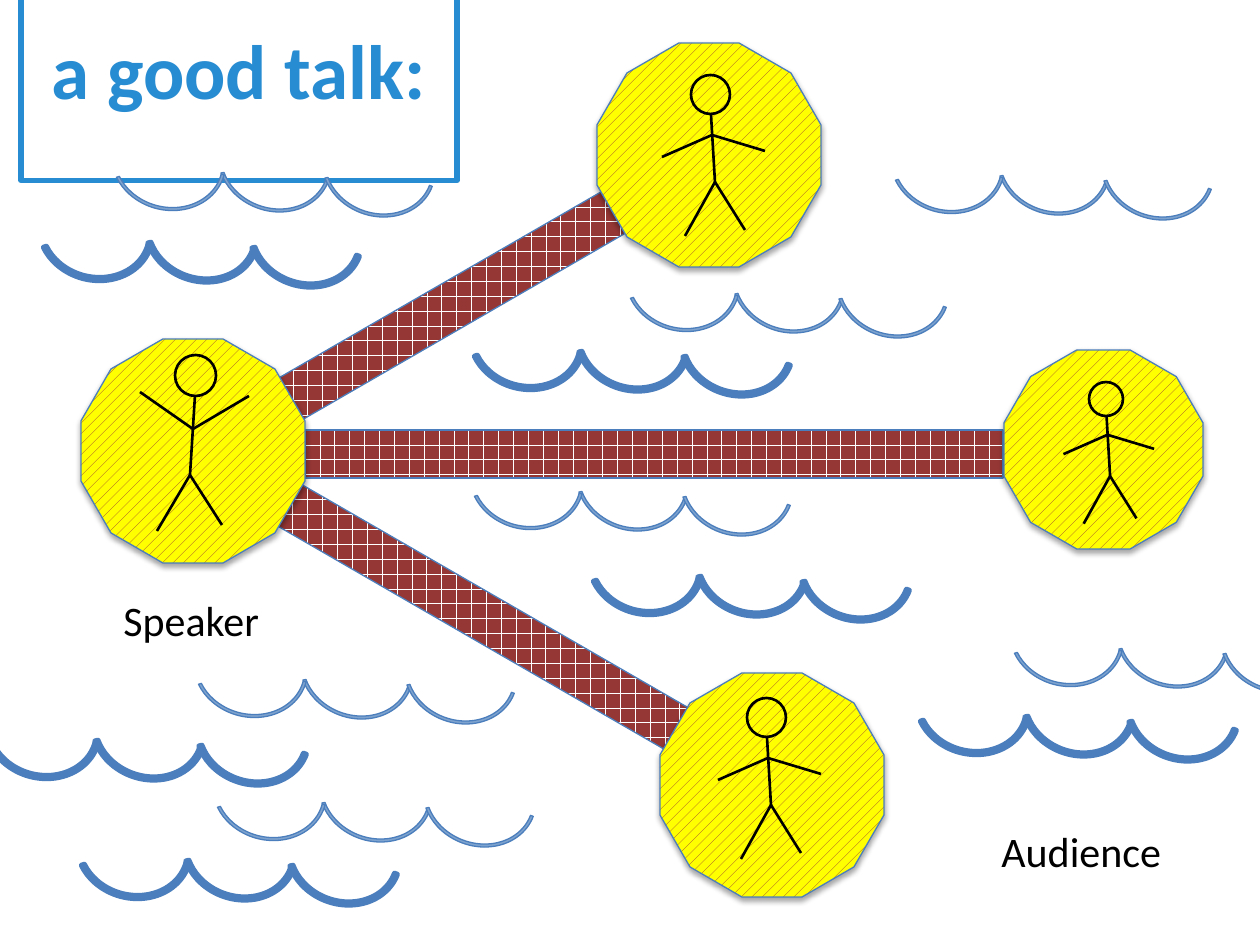
"""Build a slide of a speaker whose bridges reach the audience across the water."""
from lxml import etree
from pptx import Presentation, util as u
from pptx.dml.color import RGBColor
from pptx.enum import dml, shapes, text
from pptx.oxml.ns import qn

SCALE = 914400 / 126
BLUE, INK = "4B7EBC", "000000"


def px(*lengths):
    return [round(length * SCALE) for length in lengths]


def add_outline(parent, kind, box, line_color, line_width):
    shape = parent.add_shape(kind, *px(*box))
    shape.shadow.inherit = False
    shape.fill.background()
    shape.line.color.rgb = RGBColor.from_string(line_color)
    shape.line.width = u.Pt(line_width)
    return shape


deck = Presentation()
deck.slide_width, deck.slide_height = px(1260, 945)
page = deck.slides.add_slide(deck.slide_layouts[5])

waves = [
    (76, 798, 3), (111, 110, 0.75), (469, 289, 3), (-15, 678, 3),
    (915, 654, 3), (588, 514, 3), (38, 180, 3), (212, 740, 0.75),
    (890, 113, 0.75), (469, 429, 0.75), (193, 617, 0.75),
    (1009, 586, 0.75), (625, 231, 0.75),
]
arcs = [(106, 1, 200.7), (210, 6, 200.7), (0, 0, 195)]
for left, top, width in waves:
    wave = page.shapes.add_group_shape()
    for dx, dy, angle in arcs:
        arc = add_outline(wave.shapes, shapes.MSO_SHAPE.BLOCK_ARC,
                          (left + dx, top + dy, 115, 100), BLUE, width)
        arc.rotation = angle
        for index, value in enumerate((108, 195.99, 0.03)):
            arc.adjustments[index] = value
        arc.fill.solid()
        arc.fill.fore_color.rgb = RGBColor.from_string("7EA3CE")

bridges = [(265, 282, 373, 330), (305, 430, 698, 0), (260, 593, 446, 30)]
for left, top, length, angle in bridges:
    bridge = add_outline(page.shapes, shapes.MSO_SHAPE.RECTANGLE,
                         (left, top, length, 48), BLUE, 0.75)
    bridge.rotation = angle
    bridge.fill.patterned()
    bridge.fill.pattern = dml.MSO_PATTERN.HORIZONTAL_BRICK
    bridge.fill.fore_color.rgb = RGBColor.from_string("FFFFFF")
    bridge.fill.back_color.rgb = RGBColor.from_string("953735")

listener_limbs = [
    ((20, 39), (24, 107)), ((24, 107), (-6, 161)), ((24, 107), (54, 155)),
    ((21, 60), (74, 76)), ((-29, 82), (21, 60)),
]
speaker_limbs = [
    ((20, 41), (15, 120)), ((15, 120), (-18, 176)), ((15, 120), (47, 170)),
    ((18, 74), (74, 41)), ((-35, 37), (18, 74)),
]
people = [
    ((597, 43, 224), (691, 75, 39), listener_limbs, 1),
    ((1004, 350, 199), (1089, 382, 34), listener_limbs, 0.88),
    ((660, 673, 224), (747, 698, 39), listener_limbs, 1),
    ((81, 339, 224), (175, 355, 41), speaker_limbs, 1),
]
for (left, top, size), (head_x, head_y, head_size), limbs, ratio in people:
    island = add_outline(page.shapes, shapes.MSO_SHAPE.DODECAGON,
                         (left, top, size, size), BLUE, 0.75)
    island.fill.patterned()
    island.fill.pattern = dml.MSO_PATTERN.PERCENT_20
    island.fill.fore_color.rgb = RGBColor.from_string("953735")
    island.fill.back_color.rgb = RGBColor.from_string("FFFF00")
    effects = island._element.spPr.find(qn("a:effectLst"))
    shadow = etree.SubElement(effects, qn("a:outerShdw"), blurRad="40000",
                              dist="23000", dir="5400000", rotWithShape="0")
    shade = etree.SubElement(shadow, qn("a:srgbClr"), val=INK)
    etree.SubElement(shade, qn("a:alpha"), val="35000")

    figure = page.shapes.add_group_shape()
    add_outline(figure.shapes, shapes.MSO_SHAPE.OVAL,
                (head_x, head_y, head_size, head_size), INK, 1.5)
    for (x1, y1), (x2, y2) in limbs:
        limb = figure.shapes.add_connector(
            shapes.MSO_CONNECTOR.STRAIGHT,
            *px(head_x + x1 * ratio, head_y + y1 * ratio,
                head_x + x2 * ratio, head_y + y2 * ratio))
        limb.line.color.rgb = RGBColor.from_string(INK)
        limb.line.width = u.Pt(1.5)
        etree.SubElement(limb._element.spPr, qn("a:effectLst"))

labels = [("Speaker", 111, 588, 164), ("Audience", 989, 819, 186)]
for wording, left, top, width in labels:
    label = page.shapes.add_textbox(*px(left, top, width, 63))
    label.text_frame.word_wrap = False
    label.text_frame.auto_size = text.MSO_AUTO_SIZE.SHAPE_TO_FIT_TEXT
    para = label.text_frame.paragraphs[0]
    para.text = wording
    para.font.name, para.font.size = "Calibri", u.Pt(24)
    para.font.color.rgb = RGBColor.from_string(INK)

title = page.shapes.title
title.left, title.top, title.width, title.height = px(21, 16, 436, 119)
title.fill.solid()
title.fill.fore_color.rgb = RGBColor.from_string("FFFFFF")
title.line.color.rgb = RGBColor.from_string("288CD2")
title.line.width = u.Pt(3)
frame = title.text_frame
frame.margin_left, frame.margin_top, frame.margin_right, frame.margin_bottom = px(25, 6, 25, 19)
frame.vertical_anchor = text.MSO_ANCHOR.MIDDLE
frame.word_wrap = True
frame.auto_size = text.MSO_AUTO_SIZE.SHAPE_TO_FIT_TEXT
para = frame.paragraphs[0]
para.text = "a good talk:"
para.alignment = text.PP_ALIGN.CENTER
para.font.name, para.font.size, para.font.bold = "Calibri", u.Pt(44), True
para.font.color.rgb = RGBColor.from_string("288CD2")

deck.save("out.pptx")
